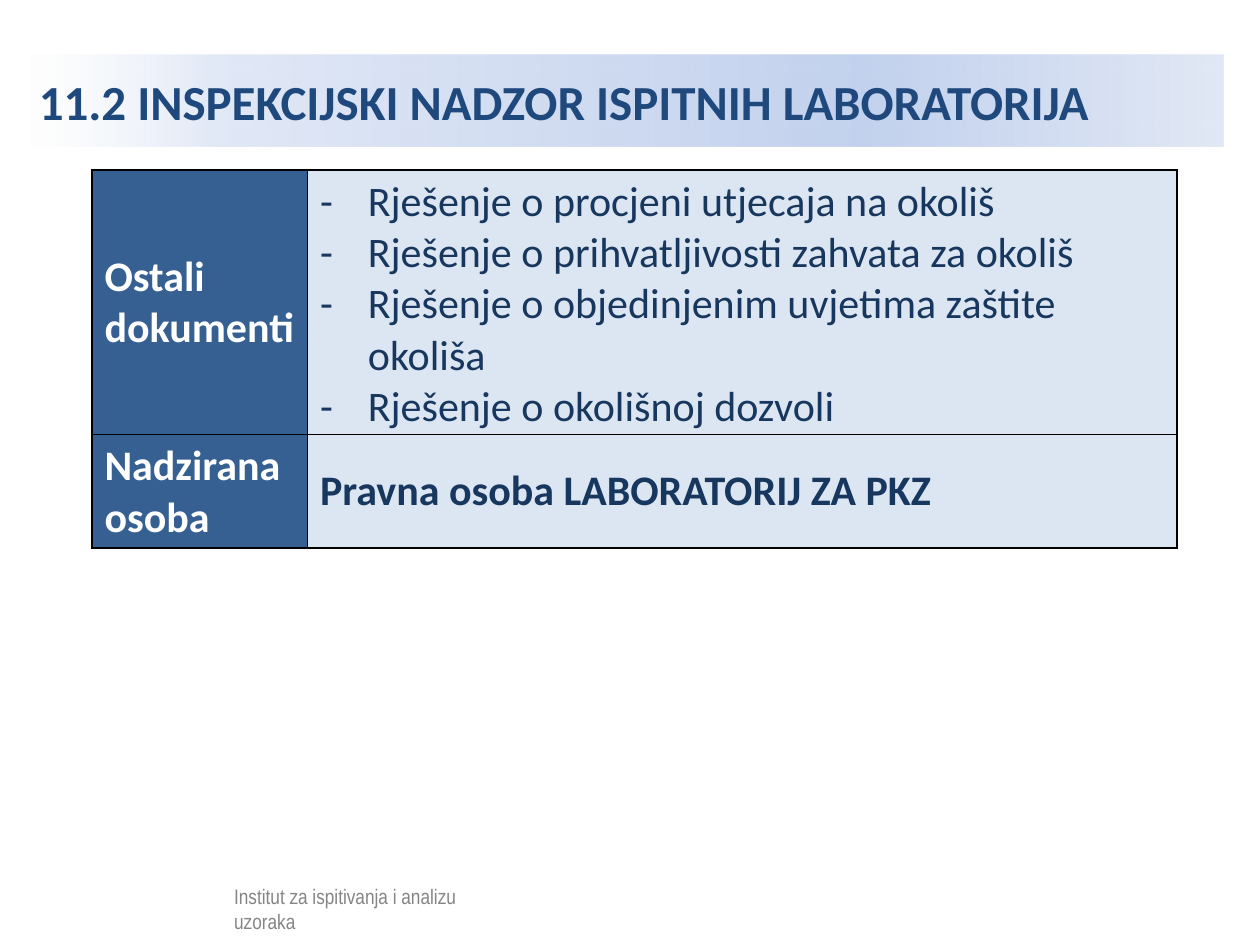
"""Build the slide on the inspection of testing laboratories."""
from dataclasses import dataclass

from lxml.etree import SubElement
from pptx import Presentation
from pptx.dml.color import RGBColor
from pptx.enum.shapes import MSO_SHAPE
from pptx.enum.text import MSO_ANCHOR, PP_ALIGN
from pptx.oxml.ns import qn
from pptx.util import Inches, Pt

COLS, ROWS = 100, 75
WHITE = RGBColor(0xFF, 0xFF, 0xFF)
BLACK = RGBColor(0x00, 0x00, 0x00)
TITLE_BLUE = RGBColor(0x1F, 0x49, 0x7D)
HEAD_BLUE = RGBColor(0x37, 0x60, 0x92)
BODY_BLUE = RGBColor(0x17, 0x37, 0x5E)
PALE_BLUE = RGBColor(0xDC, 0xE6, 0xF2)
MIST = RGBColor(0xE1, 0xE8, 0xF6)
SKY = RGBColor(0xC2, 0xD1, 0xED)
HAZE = RGBColor(0xE1, 0xE8, 0xF5)
VEIL = 52
BAND_STOPS = [(0, WHITE, VEIL), (16, MIST, 100), (70, SKY, 100), (100, HAZE, 100)]

TITLE = {"name": "Calibri", "size": Pt(28), "bold": True}
STRONG = {"name": "Calibri", "size": Pt(24), "bold": True}
PLAIN = {**STRONG, "bold": False}
FOOTER = {"name": "Arial Narrow", "size": Pt(12), "bold": False}


@dataclass(frozen=True)
class Box:
    """A place on the slide grid."""
    col: float
    row: float
    cols: float
    rows: float

    def emu(self, prs) -> list[int]:
        """Turn grid units into slide lengths."""
        w, h = prs.slide_width / COLS, prs.slide_height / ROWS
        return [round(n) for n in (self.col * w, self.row * h, self.cols * w, self.rows * h)]


@dataclass(frozen=True)
class Entry:
    """A table row with its heading and its lines."""
    head: str
    lines: tuple[str, ...]
    rows: float
    listed: bool


ENTRIES = [
    Entry("Ostali dokumenti", (
        "Rješenje o procjeni utjecaja na okoliš",
        "Rješenje o prihvatljivosti zahvata za okoliš",
        "Rješenje o objedinjenim uvjetima zaštite okoliša",
        "Rješenje o okolišnoj dozvoli"), 21, True),
    Entry("Nadzirana osoba", ("Pravna osoba LABORATORIJ ZA PKZ",), 9, False),
]


def write(tf, lines: tuple[str, ...], fmt: dict, color: RGBColor, dashed: bool = False) -> None:
    """Write one paragraph for each line."""
    tf.word_wrap = True
    for i, line in enumerate(lines):
        p = tf.add_paragraph() if i else tf.paragraphs[0]
        p.alignment = PP_ALIGN.LEFT
        r = p.add_run()
        r.text = line
        for key, value in fmt.items():
            setattr(r.font, key, value)
        r.font.color.rgb = color
        if dashed:
            pPr = p._p.get_or_add_pPr()
            pPr.set("marL", str(Inches(0.38)))
            pPr.set("indent", str(-Inches(0.38)))
            SubElement(pPr, qn("a:buFont"), typeface=fmt["name"])
            SubElement(pPr, qn("a:buChar"), char="-")


def add_color(parent, color: RGBColor, alpha: int = 100) -> None:
    """Add a colour with its opacity in percent."""
    clr = SubElement(parent, qn("a:srgbClr"), val=str(color))
    if alpha < 100:
        SubElement(clr, qn("a:alpha"), val=str(alpha * 1000))


def add_panel(prs, s, box: Box):
    """Add a rectangle without line or shadow."""
    sp = s.shapes.add_shape(MSO_SHAPE.RECTANGLE, *box.emu(prs))
    sp.shadow.inherit = False
    sp.line.fill.background()
    return sp


def add_title(prs, s, box: Box, text: str) -> None:
    """Add the title on its gradient band."""
    sp = add_panel(prs, s, box)
    sp.fill.gradient()
    sp.fill.gradient_angle = 0
    stops = sp._element.spPr.find(qn("a:gradFill")).find(qn("a:gsLst"))
    for gs in list(stops):
        stops.remove(gs)
    for place, color, alpha in BAND_STOPS:
        add_color(SubElement(stops, qn("a:gs"), pos=str(place * 1000)), color, alpha)
    sp.text_frame.vertical_anchor = MSO_ANCHOR.MIDDLE
    write(sp.text_frame, (text,), TITLE, TITLE_BLUE)


def add_footer(prs, s, box: Box, veil: Box, text: str) -> None:
    """Add the footer under a translucent white panel."""
    tb = s.shapes.add_textbox(*box.emu(prs))
    write(tb.text_frame, (text,), FOOTER, BLACK)
    sp = add_panel(prs, s, veil)
    sp.fill.solid()
    sp.fill.fore_color.rgb = WHITE
    clr = sp._element.spPr.find(qn("a:solidFill"))[0]
    SubElement(clr, qn("a:alpha"), val=str(VEIL * 1000))


def style_cell(cell, fill: RGBColor) -> None:
    """Fill, centre and frame a cell."""
    cell.vertical_anchor = MSO_ANCHOR.MIDDLE
    tcPr = cell._tc.get_or_add_tcPr()
    for side in ("lnL", "lnR", "lnT", "lnB"):
        ln = SubElement(tcPr, qn(f"a:{side}"), w=str(Pt(1)))
        add_color(SubElement(ln, qn("a:solidFill")), BLACK)
    cell.fill.solid()
    cell.fill.fore_color.rgb = fill


def add_entries(prs, s, box: Box, widths: tuple[float, float]) -> None:
    """Add the table of entries."""
    tbl = s.shapes.add_table(len(ENTRIES), len(widths), *box.emu(prs)).table
    tbl.first_row = tbl.horz_banding = False
    for column, width in zip(tbl.columns, widths):
        column.width = round(prs.slide_width * width / COLS)
    for i, entry in enumerate(ENTRIES):
        tbl.rows[i].height = round(prs.slide_height * entry.rows / ROWS)
        head, body = tbl.cell(i, 0), tbl.cell(i, 1)
        style_cell(head, HEAD_BLUE)
        style_cell(body, PALE_BLUE)
        write(head.text_frame, (entry.head,), STRONG, WHITE)
        write(body.text_frame, entry.lines, PLAIN if entry.listed else STRONG,
              BODY_BLUE, entry.listed)


def main() -> None:
    """Build and save the slide."""
    prs = Presentation()
    prs.slide_width, prs.slide_height = Inches(10), Inches(7.5)
    s = prs.slides.add_slide(prs.slide_layouts[6])
    add_title(prs, s, Box(2.1, 4.35, 95, 7.3), "11.2 INSPEKCIJSKI NADZOR ISPITNIH LABORATORIJA")
    add_footer(prs, s, Box(17.6, 69.6, 20.9, 2.5), Box(4.1, 69.3, 38.2, 4.8),
               "Institut za ispitivanja i analizu uzoraka")
    add_entries(prs, s, Box(7.3, 13.5, 86.1, 30), (17.1, 69))
    prs.save("out.pptx")


if __name__ == "__main__":
    main()
